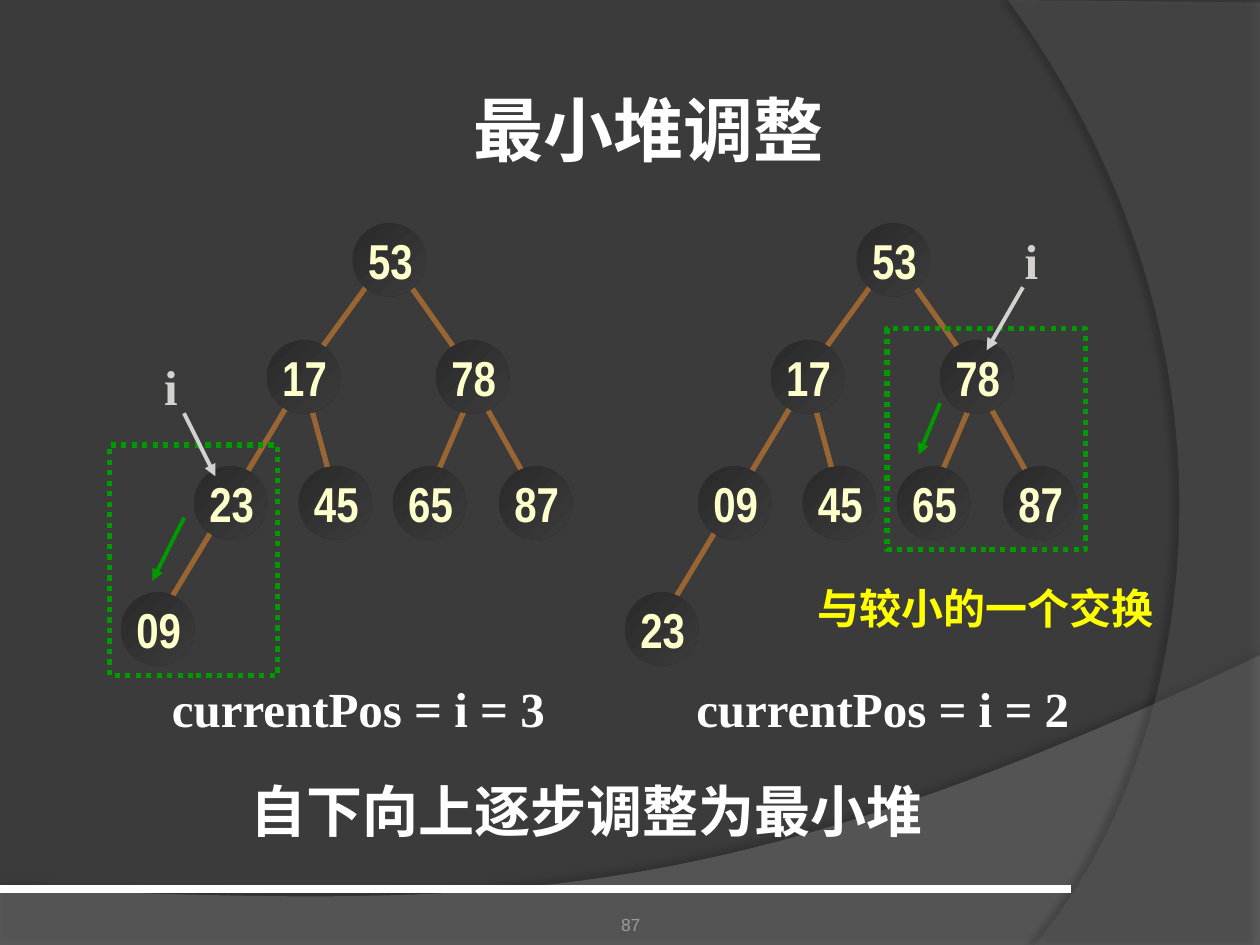
from lxml import etree
from pptx import Presentation
from pptx.dml.color import RGBColor
from pptx.enum.dml import MSO_LINE
from pptx.enum.shapes import MSO_CONNECTOR, MSO_SHAPE
from pptx.enum.text import MSO_ANCHOR, PP_ALIGN
from pptx.oxml.ns import qn
from pptx.util import Cm, Pt

LINE = MSO_CONNECTOR.STRAIGHT
OVAL, RECT = MSO_SHAPE.OVAL, MSO_SHAPE.RECTANGLE
DOT = MSO_LINE.ROUND_DOT
LEFT, MID = PP_ALIGN.LEFT, PP_ALIGN.CENTER
TOP, CENTER, BASE = MSO_ANCHOR.TOP, MSO_ANCHOR.MIDDLE, MSO_ANCHOR.BOTTOM

BACK = RGBColor(0x3B, 0x3B, 0x3B)
DARK = RGBColor(0x2A, 0x2A, 0x2A)
WAVE = RGBColor(0x7F, 0x7F, 0x7F)
ARC = RGBColor(0x5E, 0x5E, 0x5E)
WHITE = RGBColor(0xFF, 0xFF, 0xFF)
GRAY = RGBColor(0x9D, 0x9B, 0x9A)
PALE = RGBColor(0xD4, 0xD2, 0xD0)
CREAM = RGBColor(0xFF, 0xFF, 0xCC)
BROWN = RGBColor(0x99, 0x66, 0x33)
GREEN = RGBColor(0x00, 0x99, 0x00)
YELLOW = RGBColor(0xFF, 0xFF, 0x00)

WIDE, HIGH = 25.4, 19.05
SIZE = 1.48
STEP = 10.16
NODES = [(7.11, 4.5), (5.38, 6.86), (8.79, 6.86), (3.91, 9.4),
         (6.02, 9.4), (7.92, 9.4), (10.06, 9.4), (2.44, 11.94)]
EDGES = [(9.63, 7.9, 10.69, 9.8), (9.42, 8.13, 8.79, 9.6),
         (8.15, 5.59, 9.19, 7.06), (6.25, 8.13, 6.65, 9.6),
         (7.52, 5.59, 6.45, 7.06), (5.82, 8.13, 3.28, 12.34)]
TREES = [["53", "17", "78", "23", "45", "65", "87", "09"],
         ["53", "17", "78", "09", "45", "65", "87", "23"]]
FRAMES = [(2.21, 8.97, 3.38, 4.65), (17.88, 6.63, 4.01, 4.45)]
ARROWS = [((3.71, 8.33, 4.34, 9.6), PALE), ((20.62, 5.79, 19.89, 7.06), PALE),
          ((3.71, 10.44, 3.07, 11.71), GREEN), ((18.95, 8.13, 18.52, 9.17), GREEN)]

BODY = {"name": "Times New Roman", "bold": True, "size": Pt(28)}
KEY = {**BODY, "name": "Arial Narrow"}
TEXTS = [
    ("自下向上逐步调整为最小堆", (4.8, 15.52, 17.25, 1.6), {**BODY, "size": Pt(32)},
     WHITE, LEFT, TOP, True),
    ("currentPos = i = 3", (3.2, 13.54, 8.05, 1.45), BODY, WHITE, MID, CENTER, False),
    ("currentPos = i = 2", (13.77, 13.54, 8.05, 1.45), BODY, WHITE, MID, CENTER, False),
    ("i", (3.05, 7.06, 0.79, 1.45), BODY, PALE, MID, CENTER, False),
    ("i", (20.4, 4.52, 0.79, 1.45), BODY, PALE, MID, CENTER, False),
    ("与较小的一个交换", (16.23, 11.61, 7.34, 1.27), {**BODY, "name": "Arial", "size": Pt(24)},
     YELLOW, LEFT, TOP, False),
]
WAVES = [
    ([(0, 17.91), (0, HIGH), (WIDE, HIGH), (WIDE, 13.21)],
     [(14.2, 18.52), (9.93, 18.26), (0, 17.91)], WAVE, 45, (35, 3.5, 270)),
    ([(WIDE, 0.05), (WIDE, HIGH), (20.85, HIGH)],
     [(23.75, 15.72), (25.86, 7.62), (20.32, 0)], ARC, 40, (45, 4, 180)),
]


def put(item, vals):
    for key, val in vals.items():
        setattr(item, key, val)


def sub(node, tag, **vals):
    return etree.SubElement(node, qn(tag), {k: str(v) for k, v in vals.items()})


def curve(ends, count=40):
    pts = []
    for n in range(1, count + 1):
        t = n / count
        part = ((1 - t) ** 3, 3 * t * (1 - t) ** 2, 3 * t * t * (1 - t), t ** 3)
        pts.append(tuple(sum(w * p[k] for w, p in zip(part, ends)) for k in (0, 1)))
    return pts


def wave(pts, bend, tint, alpha, cast):
    pts = [(Cm(x), Cm(y)) for x, y in pts + curve([pts[-1]] + bend)]
    form = slide.shapes.build_freeform(*pts[0])
    form.add_line_segments(pts[1:], close=True)
    shape = form.convert_to_shape()
    shape.fill.solid()
    shape.fill.fore_color.rgb = tint
    shape.line.fill.background()
    prop = shape.element.spPr
    sub(next(prop.iter(qn("a:srgbClr"))), "a:alpha", val=alpha * 1000)
    dark, far, turn = cast
    glow = sub(sub(prop, "a:effectLst"), "a:outerShdw", blurRad=Pt(4),
               dist=Pt(far), dir=turn * 60000, algn="ctr", rotWithShape=0)
    sub(sub(glow, "a:srgbClr", val="000000"), "a:alpha", val=dark * 1000)


def link(ends, tint, thick, head=False):
    line = slide.shapes.add_connector(LINE, *map(Cm, ends))
    line.line.color.rgb = tint
    line.line.width = Pt(thick)
    if head:
        sub(line.line.fill._xPr, "a:tailEnd", type="triangle")
    sub(line.element.spPr, "a:effectLst")


def write(frame, words, font, tint, align, anchor, wrap):
    put(frame, {"word_wrap": wrap, "vertical_anchor": anchor})
    para = frame.paragraphs[0]
    para.alignment = align
    run = para.add_run()
    run.text = words
    put(run.font, font)
    run.font.color.rgb = tint


def label(words, area, *look):
    box = slide.shapes.add_textbox(*map(Cm, area))
    write(box.text_frame, words, *look)
    return box


def disc(x, y):
    shape = slide.shapes.add_shape(OVAL, *map(Cm, (x, y, SIZE, SIZE)))
    shape.shadow.inherit = False
    shape.line.fill.background()
    shape.fill.gradient()
    shape.fill.gradient_angle = 315
    for stop, tint in zip(shape.fill.gradient_stops, (DARK, BACK)):
        stop.color.rgb = tint


def tree(keys, left):
    for x, y, right, low in EDGES:
        link((x + left, y, right + left, low), BROWN, 3)
    for x, y in NODES:
        disc(x + left, y)
    for key, (x, y) in zip(keys, NODES):
        label(key, (x + left + 0.05, y + 0.01, 1.42, 1.45), KEY, CREAM, MID, CENTER, False)


def border(area):
    shape = slide.shapes.add_shape(RECT, *map(Cm, area))
    shape.shadow.inherit = False
    shape.fill.background()
    shape.line.color.rgb = GREEN
    put(shape.line, {"width": Pt(3), "dash_style": DOT})


deck = Presentation()
put(deck, {"slide_width": Cm(WIDE), "slide_height": Cm(HIGH)})
slide = deck.slides.add_slide(deck.slide_layouts[5])
slide.background.fill.solid()
slide.background.fill.fore_color.rgb = BACK

for item in WAVES:
    wave(*item)
link((0, 17.93, 21.59, 17.93), WHITE, 4.5)
page = label("87", (8.69, 17.83, 8.05, 1.02), {"name": "Arial", "size": Pt(10)},
             GRAY, MID, BASE, True)
put(page.text_frame, {"margin_left": 0, "margin_right": 0, "margin_bottom": 0})

for spot, keys in enumerate(TREES):
    tree(keys, spot * STEP)
for area in FRAMES:
    border(area)
for ends, tint in ARROWS:
    link(ends, tint, 2.25, True)
for item in TEXTS:
    label(*item)

title = slide.shapes.title
put(title, dict(zip(("left", "top", "width", "height"), map(Cm, (1.65, 0.81, 22.86, 3.56)))))
put(title.text_frame, {"margin_left": Cm(0.13), "margin_right": Cm(0.13)})
write(title.text_frame, "最小堆调整", {"name": "Karla", "size": Pt(40), "bold": True},
      WHITE, MID, CENTER, True)

deck.save("out.pptx")
